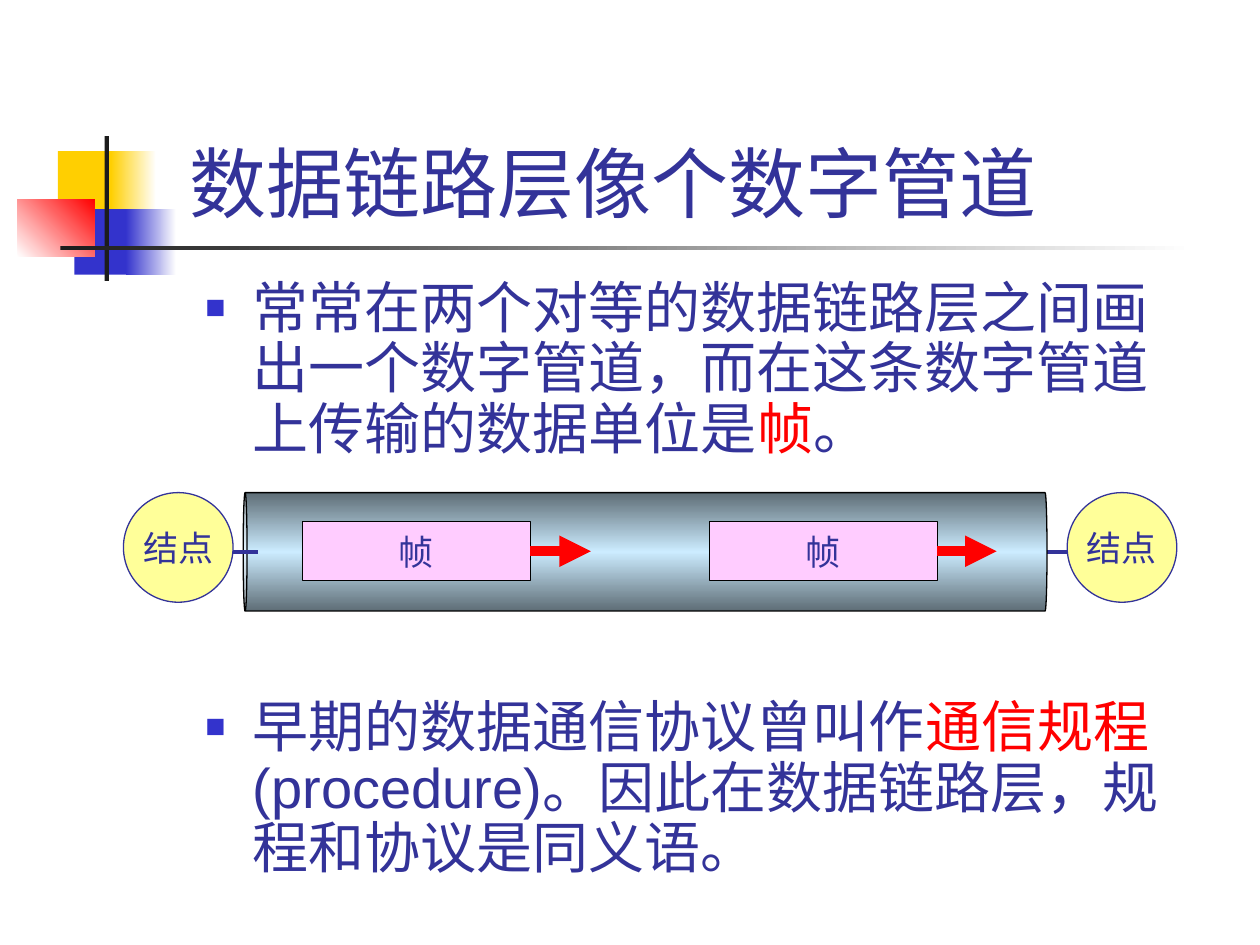
import copy
import pptx
import pptx.util
import pptx.dml.color
import pptx.enum.shapes
import pptx.enum.text
import pptx.oxml
import pptx.oxml.ns

Pt = pptx.util.Pt
RGB = pptx.dml.color.RGBColor
Kind = pptx.enum.shapes.MSO_SHAPE
Align = pptx.enum.text.PP_ALIGN
Anchor = pptx.enum.text.MSO_ANCHOR
qn = pptx.oxml.ns.qn
INK, RED, BLUE, GOLD, DARK = "333399", "FF0000", "3333CC", "FFCF01", "1C1C1C"
WHITE, BLACK, STEEL = "FFFFFF", "000000", "5E6D76"

deck = pptx.Presentation()
deck.slide_width = pptx.util.Inches(10)
deck.slide_height = pptx.util.Inches(7.5)
col, row = deck.slide_width / 100, deck.slide_height / 75  # 100 x 75 grid
slide = deck.slides.add_slide(deck.slide_layouts[1])


def paint(fill, *tones, angle=0):
    """One tone gives a solid fill, more give an even gradient."""
    if len(tones) == 1:
        fill.solid()
        fill.fore_color.rgb = RGB.from_string(tones[0])
        return
    fill.gradient()
    fill.gradient_angle = angle
    first = fill.gradient_stops[0]._gs
    for _ in tones[2:]:
        first.addnext(copy.deepcopy(first))
    for i, (stop, tone) in enumerate(zip(fill.gradient_stops, tones)):
        stop.position = i / (len(tones) - 1)
        stop.color.rgb = RGB.from_string(tone)


def box(kind, x, y, w, h, tones, angle=0, edge=None, text=""):
    """Add a filled shape, placed in grid units."""
    shape = slide.shapes.add_shape(
        kind, int(x * col), int(y * row), int(w * col), int(h * row))
    shape.shadow.inherit = False
    paint(shape.fill, *tones, angle=angle)
    if edge:
        paint(shape.line.fill, edge)
        shape.line.width = Pt(0.75)
    else:
        shape.line.fill.background()
    if text:
        frame = shape.text_frame
        frame.text = text
        frame.word_wrap = False
        frame.vertical_anchor = Anchor.MIDDLE
        para = frame.paragraphs[0]
        para.alignment = Align.CENTER
        font = para.runs[0].font
        font.name, font.size = "Lato", Pt(20)
        paint(font.fill, INK)
    return shape


# Corner ornament and title rule
for x, y, w, h, tones, angle in [
    (4.6, 12, 4.8, 5.2, [GOLD], 0),
    (8.8, 12, 3.6, 5.2, [GOLD, WHITE], 0),
    (5.9, 16.6, 4.6, 5.2, [BLUE], 0),
    (10, 16.6, 4, 5.2, [BLUE, WHITE], 0),
    (1.4, 15.8, 6.1, 4.6, [WHITE, RED], 45),
    (8.3, 10.8, 0.35, 11.5, [DARK], 0),
    (4.8, 19.5, 90, 0.35, [DARK, WHITE], 0),
]:
    box(Kind.RECTANGLE, x, y, w, h, tones, angle)

# Title and body
title, body = slide.shapes.title, slide.placeholders[1]
for holder, x, y, w, h, anchor in [
    (title, 11.2, 10.2, 75, 8.4, Anchor.BOTTOM),
    (body, 15.3, 21.7, 78.8, 48.8, Anchor.TOP),
]:
    holder.left, holder.top = int(x * col), int(y * row)
    holder.width, holder.height = int(w * col), int(h * row)
    holder.text_frame.auto_size = pptx.enum.text.MSO_AUTO_SIZE.NONE
    holder.text_frame.vertical_anchor = anchor

title.text_frame.text = "数据链路层像个数字管道"
head = title.text_frame.paragraphs[0]
head.alignment = Align.CENTER
font = head.runs[0].font
font.name, font.size = "Arial", Pt(44)
paint(font.fill, INK)

points = [
    (0, ["常常在两个对等的数据链路层之间画出一个数字管道，而在这条数字管道上传输的数据单位是",
         "帧", "。"]),
    (136, ["早期的数据通信协议曾叫作", "通信规程",
           "(procedure)。因此在数据链路层，规程和协议是同义语。"]),
]
for i, (gap, parts) in enumerate(points):
    para = body.text_frame.add_paragraph() if i else body.text_frame.paragraphs[0]
    para.line_spacing = 0.9
    para.space_before = Pt(gap)
    props = para._p.get_or_add_pPr()
    props.set("marL", str(int(3.75 * col)))
    props.set("indent", str(int(-3.75 * col)))
    tint = pptx.oxml.parse_xml(
        f'<a:buClr {pptx.oxml.ns.nsdecls("a")}><a:srgbClr val="{BLUE}"/></a:buClr>')
    props.append(tint)
    for tag, key, value in [("buSzPct", "val", "60000"),
                            ("buFont", "typeface", "Arial"),
                            ("buChar", "char", "■")]:
        props.append(props.makeelement(qn("a:" + tag), {key: value}))
    for part, tone in zip(parts, [INK, RED, INK]):
        run = para.add_run()
        run.text = part
        run.font.name, run.font.size = "Arial", Pt(32)
        paint(run.font.fill, tone)

# Nodes, pipe and frames; the link runs behind the pipe
mid = 43.8
for x in (9.8, 84.7):
    box(Kind.OVAL, x, 39.1, 8.7, 8.7, ["FFFF99"], edge=INK, text="结点")
links = [(18.5, 84.7, INK, 2.25, None)]
link = slide.shapes.add_connector(1, 0, 0, 0, 0)
pipe = box(Kind.CAN, 46.5, 11.9, 9.4, 63.8, [STEEL, "CCECFF", STEEL], edge=BLACK)
pipe.rotation = 270
pipe.adjustments[0] = 0.033
frames = [box(Kind.RECTANGLE, x, 41.4, 18.1, 4.7, ["FFCCFF"], edge=BLACK, text="帧")
          for x in (24, 56.3)]

# Lines: full link, its stub inside the pipe, and an arrow from each frame
for x, end, tone, width, start in [
    (18.5, 84.7, INK, 2.25, None),
    (18.5, 20.5, INK, 2.25, None),
    (42.1, 46.9, RED, 6, frames[0]),
    (74.4, 79.1, RED, 6, frames[1]),
]:
    line = link if end == 84.7 else slide.shapes.add_connector(1, 0, 0, 0, 0)
    line.begin_x, line.end_x = int(x * col), int(end * col)
    line.begin_y = line.end_y = int(mid * row)
    paint(line.line.fill, tone)
    line.line.width = Pt(width)
    if start:
        line.begin_connect(start, 3)
        line.end_y = line.begin_y
        edge = line.line._get_or_add_ln()
        edge.append(edge.makeelement(qn("a:tailEnd"), {"type": "triangle"}))
    props = line._element.spPr
    props.append(props.makeelement(qn("a:effectLst"), {}))

deck.save("out.pptx")
